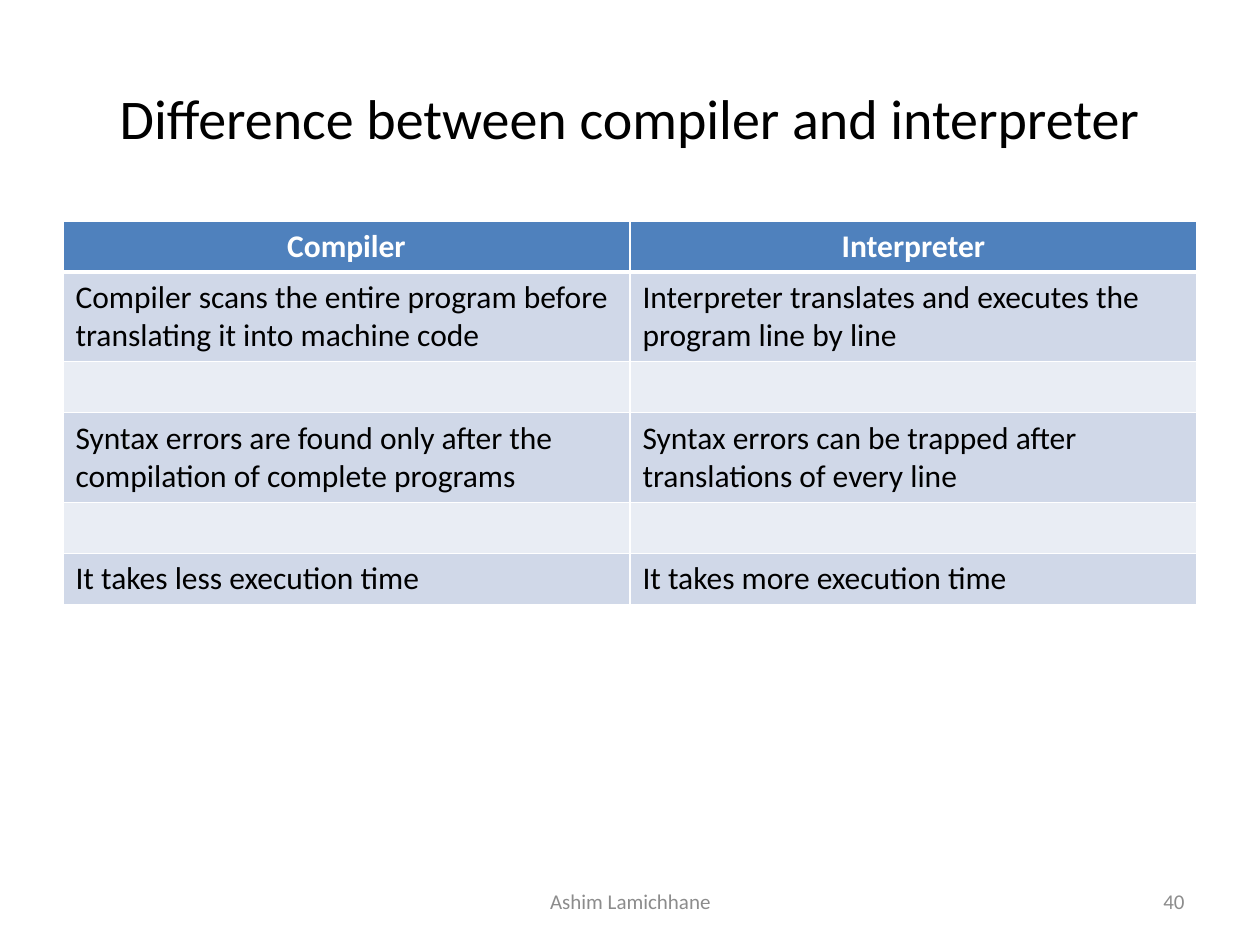
from lxml.etree import SubElement as Sub
from pptx import Presentation
from pptx.dml.color import RGBColor
from pptx.enum.text import MSO_ANCHOR as Anchor, PP_ALIGN as Align
from pptx.oxml.ns import qn
from pptx.util import Pt

PX = 914400 // 126


def style(para, size, color, align, bold=False):
    para.alignment = align
    font = para.font
    font.name, font.size, font.bold = "Calibri", Pt(size), bold
    font.color.rgb = RGBColor.from_string(color)


def border(cell, side, width):
    line = Sub(cell._tc.get_or_add_tcPr(), qn("a:ln" + side), w=str(Pt(width)))
    Sub(Sub(line, qn("a:solidFill")), qn("a:srgbClr"), val="FFFFFF")


prs = Presentation()
prs.slide_width, prs.slide_height = 1260 * PX, 945 * PX
slide = prs.slides.add_slide(prs.slide_layouts[5])

# Title
title = slide.shapes.title
title.left, title.top, title.width, title.height = [
    v * PX for v in (63, 38, 1134, 158)]
title.text_frame.text = "Difference between compiler and interpreter"
title.text_frame.vertical_anchor = Anchor.MIDDLE
style(title.text_frame.paragraphs[0], 32, "000000", Align.CENTER)

# Comparison table, with an empty row between points
rows = [
    ("Compiler", "Interpreter"),
    ("Compiler scans the entire program before translating it into machine code",
     "Interpreter translates and executes the program line by line"),
    ("", ""),
    ("Syntax errors are found only after the compilation of complete programs",
     "Syntax errors can be trapped after translations of every line"),
    ("", ""),
    ("It takes less execution time", "It takes more execution time"),
]
heights = [51, 89, 51, 89, 51, 51]
table = slide.shapes.add_table(
    len(rows), 2, 63 * PX, 221 * PX, 1134 * PX, sum(heights) * PX).table
for r, texts in enumerate(rows):
    head = r == 0
    table.rows[r].height = heights[r] * PX
    shade = "4F81BD" if head else "D0D8E8" if r % 2 else "E9EDF4"
    for c, text in enumerate(texts):
        cell = table.cell(r, c)
        cell.text = text
        style(cell.text_frame.paragraphs[0], 18,
              "FFFFFF" if head else "000000",
              Align.CENTER if head else Align.LEFT, head)
        for side in "LRTB":
            thick = (head and side == "B") or (r == 1 and side == "T")
            border(cell, side, 3 if thick else 1)
        cell.fill.solid()
        cell.fill.fore_color.rgb = RGBColor.from_string(shade)

# Footer and slide number
for text, left, width, align in [
    ("Ashim Lamichhane", 431, 399, Align.CENTER),
    ("40", 903, 294, Align.RIGHT),
]:
    box = slide.shapes.add_textbox(left * PX, 876 * PX, width * PX, 50 * PX)
    frame = box.text_frame
    frame.word_wrap = True
    frame.vertical_anchor = Anchor.MIDDLE
    frame.text = text
    style(frame.paragraphs[0], 12, "8C8C8C", align)

prs.save("out.pptx")
